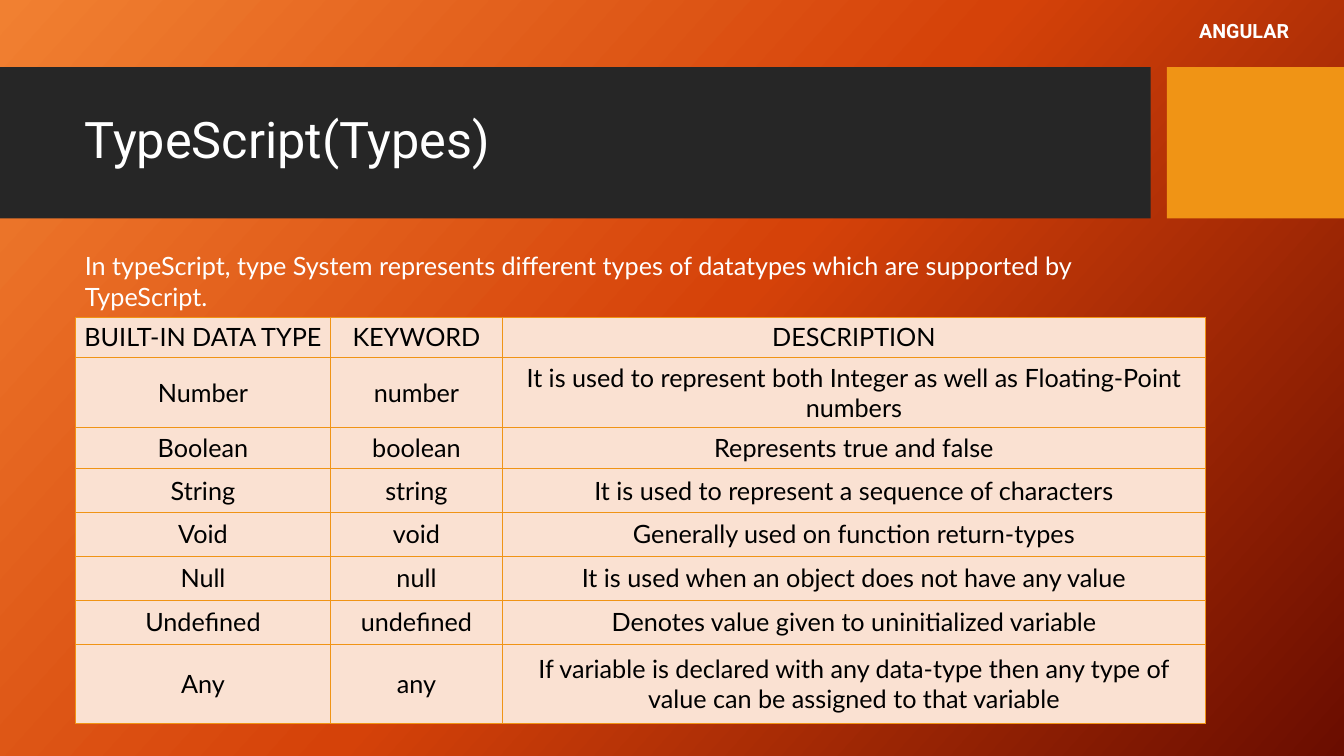
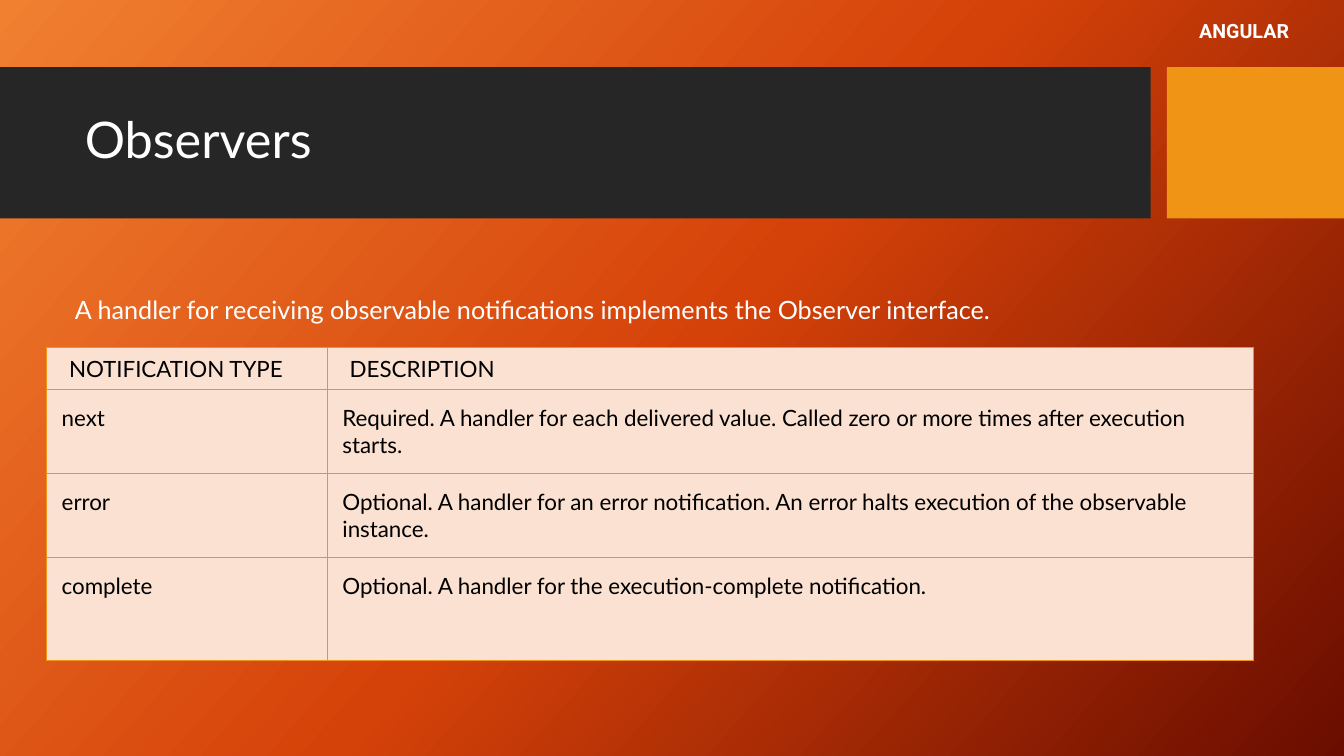
"""Build two slides on TypeScript types and observers, each with a table."""
from copy import deepcopy

from lxml.etree import SubElement
from pptx import Presentation
from pptx.dml.color import RGBColor
from pptx.enum.shapes import MSO_SHAPE
from pptx.enum.text import MSO_ANCHOR, PP_ALIGN
from pptx.oxml.ns import qn
from pptx.util import Pt

WHITE = RGBColor(0xFF, 0xFF, 0xFF)
BLACK = RGBColor(0, 0, 0)
DARK = RGBColor(0x26, 0x26, 0x26)
GOLD = RGBColor(0xF0, 0x94, 0x15)
PEACH = RGBColor(0xFA, 0xE1, 0xD2)
GLOW = [RGBColor(0xF1, 0x80, 0x31), RGBColor(0xD5, 0x42, 0x09), RGBColor(0x6A, 0x0D, 0x00)]

TYPES = [
    ("BUILT-IN DATA TYPE", "KEYWORD", "DESCRIPTION"),
    ("Number", "number", "It is used to represent both Integer as well as Floating-Point numbers"),
    ("Boolean", "boolean", "Represents true and false"),
    ("String", "string", "It is used to represent a sequence of characters"),
    ("Void", "void", "Generally used on function return-types"),
    ("Null", "null", "It is used when an object does not have any value"),
    ("Undefined", "undefined", "Denotes value given to uninitialized variable"),
    ("Any", "any", "If variable is declared with any data-type then any type of value can be assigned to that variable"),
]
EVENTS = [
    ("NOTIFICATION TYPE", "DESCRIPTION"),
    ("next", "Required. A handler for each delivered value. Called zero or more times after execution starts."),
    ("error", "Optional. A handler for an error notification. An error halts execution of the observable instance."),
    ("complete", "Optional. A handler for the execution-complete notification."),
]
PAGES = [
    dict(title="TypeScript(Types)", face="Roboto",
         intro="In typeScript, type System represents different types of datatypes which are supported by TypeScript.",
         place=(53.5, 175.5, 761, 51), rows=TYPES, left=54, top=226.4,
         wide=[182, 123, 502], high=[28.5, 50, 26.5] + [31.4] * 4 + [56.5],
         size=18, align=PP_ALIGN.CENTER, anchor=MSO_ANCHOR.MIDDLE,
         head=(3.6, 3.6), body=(7.2, 3.6)),
    dict(title="Observers", face="Lato",
         intro="A handler for receiving observable notifications implements the Observer interface.",
         place=(46.5, 206.5, 798, 29), rows=EVENTS, left=33.3, top=248.4,
         wide=[200.5, 661.5], high=[30, 59.5, 59.5, 73],
         size=16, align=PP_ALIGN.LEFT, anchor=MSO_ANCHOR.TOP,
         head=(16, 5), body=(10.8, 10.8)),
]


def write(slide, text, place, size, face="Lato", bold=False, anchor=MSO_ANCHOR.TOP):
    frame = slide.shapes.add_textbox(*map(Pt, place)).text_frame
    frame.word_wrap = True
    frame.vertical_anchor = anchor
    line = frame.paragraphs[0]
    line.text = text
    font = line.font
    font.name, font.size, font.bold = face, Pt(size), bold
    font.color.rgb = WHITE
    return line


def edge(cell):
    props = cell._tc.get_or_add_tcPr()
    for side in ("a:lnL", "a:lnR", "a:lnT", "a:lnB"):
        line = SubElement(props, qn(side), w=str(Pt(0.75)))
        fill = SubElement(line, qn("a:solidFill"))
        SubElement(fill, qn("a:srgbClr"), val=str(GOLD))


deck = Presentation()
deck.slide_width, deck.slide_height = Pt(960), Pt(540)

master = deck.slide_master
back = master.background.fill
back.gradient()
back.gradient_angle = 318
stops = master._element.find(".//" + qn("a:gsLst"))
stops.append(deepcopy(stops[0]))
for n, (stop, tone) in enumerate(zip(back.gradient_stops, GLOW)):
    stop.position = n / 2
    stop.color.rgb = tone

for page in PAGES:
    slide = deck.slides.add_slide(deck.slide_layouts[6])
    for left, width, tone in ((0, 822, DARK), (833.5, 126.5, GOLD)):
        band = slide.shapes.add_shape(MSO_SHAPE.RECTANGLE, Pt(left), Pt(48), Pt(width), Pt(108))
        band.shadow.inherit = False
        band.fill.solid()
        band.fill.fore_color.rgb = tone
        band.line.fill.background()
    title = write(slide, page["title"], (53.5, 59, 757, 85), 36, page["face"], anchor=MSO_ANCHOR.MIDDLE)
    title.line_spacing = 0.9
    write(slide, "ANGULAR", (849.5, 10, 96.5, 24.5), 14, "Roboto", True)
    write(slide, page["intro"], page["place"], 18)

    rows, wide, high = page["rows"], page["wide"], page["high"]
    grid = slide.shapes.add_table(len(rows), len(wide), Pt(page["left"]), Pt(page["top"]),
                                  Pt(sum(wide)), Pt(sum(high))).table
    grid.first_row = grid.horz_banding = False
    for col, width in zip(grid.columns, wide):
        col.width = Pt(width)
    for r, (row, texts) in enumerate(zip(grid.rows, rows)):
        row.height = Pt(high[r])
        across, down = page["body"] if r else page["head"]
        for cell, text in zip(row.cells, texts):
            edge(cell)
            cell.fill.solid()
            cell.fill.fore_color.rgb = PEACH
            cell.margin_left = cell.margin_right = Pt(across)
            cell.margin_top = cell.margin_bottom = Pt(down)
            cell.vertical_anchor = page["anchor"] if r else MSO_ANCHOR.MIDDLE
            line = cell.text_frame.paragraphs[0]
            line.text = text
            line.alignment = page["align"]
            line.font.name, line.font.size = "Lato", Pt(page["size"])
            line.font.color.rgb = BLACK

deck.save("out.pptx")
